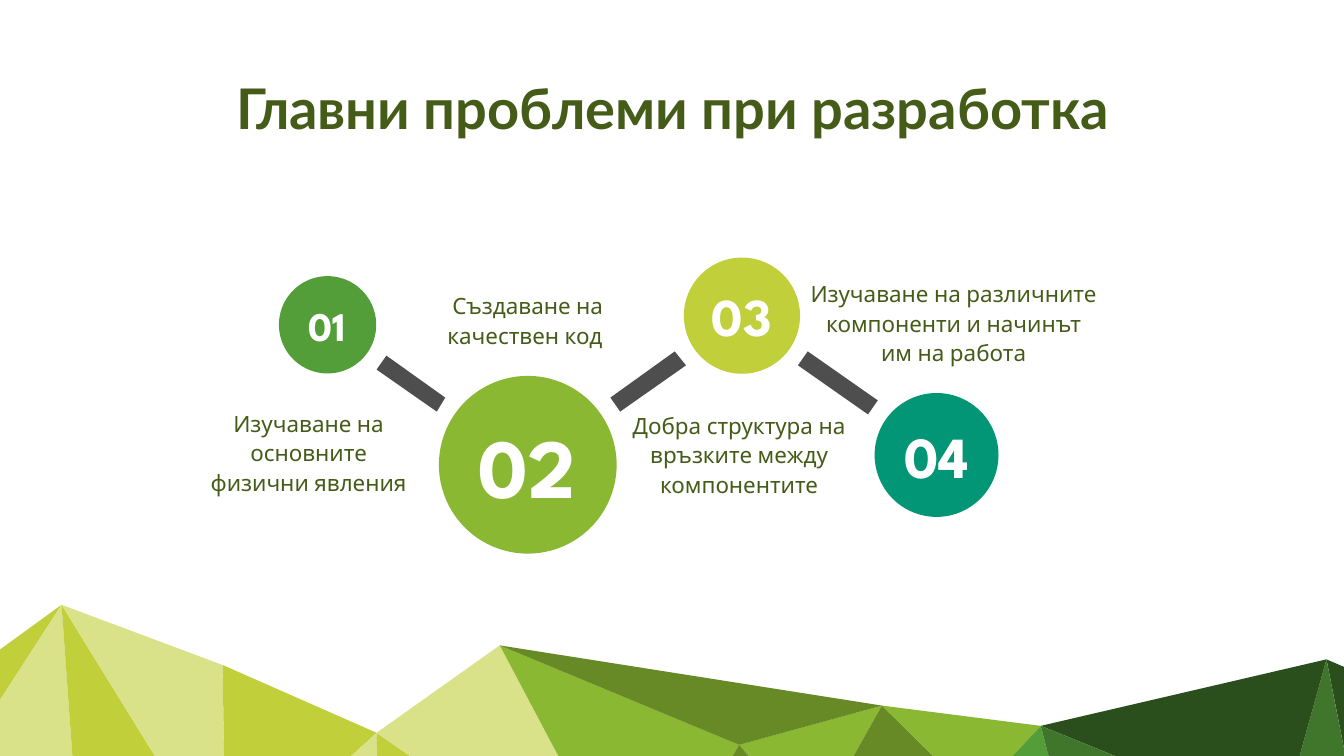
from pptx import Presentation
from pptx import util as u
from pptx.dml import color
from pptx.enum import shapes, text

INK = "455C19"
BAR = "4E4E4E"
WHITE = "FFFFFF"
LIME, PALE, LEAF, MOSS = "C0CF3A", "D9E289", "8AB833", "678A26"
GREEN, FOREST, PINE, TEAL = "549E39", "3F762B", "2A4F1C", "029676"
BODY_FONT = "League Spartan"
BASE = 599

VERTICES = {
    "edge_high": (0, 464), "edge_low": (0, 500), "edge_base": (0, BASE),
    "left_peak": (44, 432), "ridge": (159, 475), "valley": (269, 523.5),
    "middle_peak": (357, 461), "dip": (528, 532), "knoll": (630, 504),
    "fold": (696, 569), "saddle": (743.5, 518.5), "foot": (915, 588),
    "right_peak": (947.5, 471), "right_high": (965, 478.5),
    "right_low": (965, 560), "right_base": (965, BASE),
    "base_1": (56, BASE), "base_2": (147, BASE), "base_3": (161, BASE),
    "base_4": (186, BASE), "base_5": (271, BASE), "base_6": (378, BASE),
    "base_7": (430, BASE), "base_8": (490, BASE), "base_9": (566, BASE),
    "base_10": (580, 593), "base_11": (730, BASE), "base_12": (764, BASE),
    "base_13": (879, BASE), "base_14": (936, BASE),
}

FACETS = [
    (LIME, "left_peak edge_high edge_low"),
    (PALE, "left_peak edge_low edge_base base_1"),
    (LIME, "left_peak base_1 base_2"),
    (PALE, "left_peak base_2 base_3 ridge"),
    (LIME, "ridge base_3 base_4 valley"),
    (PALE, "valley base_4 base_5"),
    (LIME, "valley base_5 base_6"),
    (PALE, "middle_peak valley base_6 base_7"),
    (LEAF, "middle_peak base_7 base_8 dip"),
    (LEAF, "dip base_10 knoll"),
    (MOSS, "knoll base_10 fold"),
    (LEAF, "knoll fold saddle"),
    (GREEN, "saddle fold base_11 base_12"),
    (PINE, "saddle foot right_peak"),
    (FOREST, "saddle base_12 base_13 foot"),
    (PINE, "right_peak right_high right_low"),
    (FOREST, "right_peak right_low right_base base_14 foot"),
    (MOSS, "middle_peak knoll dip"),
    (MOSS, "dip base_8 base_9 base_10"),
]

BARS = [
    [(276, 254), (318, 284), (312, 294), (269, 264)],
    [(482, 251), (490, 261), (443, 294), (436, 284)],
    [(577, 251), (627, 286), (620, 296), (570, 261)],
]

CIRCLES = [
    ("01", 234, 232, 69.5, 29, GREEN),
    ("02", 377, 332, 127, 60, LEAF),
    ("03", 530, 225.5, 83, 38, LIME),
    ("04", 669, 325, 88.5, 41.5, TEAL),
]

CAPTIONS = [
    ("Изучаване на различните компоненти и начинът им на работа", 571.5, 195, 219.5, 70),
    ("Създаване на качествен код ", 289.5, 203.5, 175, 49),
    ("Изучаване на основните физични явления", 135.5, 287.5, 170, 70),
    ("Добра структура на връзките между компонентите", 440.5, 289, 175, 70),
]


def rgb(value):
    return color.RGBColor.from_string(value)


def paint(shape, fill):
    shape.fill.solid()
    shape.fill.fore_color.rgb = rgb(fill)
    shape.line.fill.background()
    shape.shadow.inherit = False


def write(frame, words, font, size, ink, bold=False, spacing=1.0):
    para = frame.paragraphs[0]
    para.alignment = text.PP_ALIGN.CENTER
    para.line_spacing = spacing
    span = para.add_run()
    span.text = words
    span.font.name = font
    span.font.size = u.Pt(size)
    span.font.bold = bold
    span.font.color.rgb = rgb(ink)


def add_polygon(page, points, fill):
    corners = [(u.Pt(x), u.Pt(y)) for x, y in points]
    builder = page.shapes.build_freeform(*corners[0])
    builder.add_line_segments(corners[1:], close=True)
    paint(builder.convert_to_shape(), fill)


def add_circle(page, number, x, y, diameter, size, fill):
    circle = page.shapes.add_shape(
        shapes.MSO_SHAPE.OVAL, u.Pt(x - diameter / 2), u.Pt(y - diameter / 2),
        u.Pt(diameter), u.Pt(diameter))
    paint(circle, fill)
    frame = circle.text_frame
    frame.margin_left = frame.margin_right = frame.margin_top = frame.margin_bottom = 0
    frame.word_wrap = False
    frame.vertical_anchor = text.MSO_ANCHOR.MIDDLE
    write(frame, number, BODY_FONT, size, WHITE, bold=True)


def add_caption(page, words, left, top, width, height):
    box = page.shapes.add_textbox(u.Pt(left), u.Pt(top), u.Pt(width), u.Pt(height))
    box.text_frame.word_wrap = True
    write(box.text_frame, words, BODY_FONT, 16, INK, spacing=u.Pt(21))


def set_title(page, words):
    title = page.shapes.title
    title.left, title.top, title.width, title.height = map(u.Pt, (135.5, 49, 690, 55.5))
    frame = title.text_frame
    frame.word_wrap = False
    frame.auto_size = text.MSO_AUTO_SIZE.NONE
    frame.vertical_anchor = text.MSO_ANCHOR.TOP
    write(frame, words, "Lato", 40, INK, bold=True)


def main():
    deck = Presentation()
    deck.slide_width, deck.slide_height = u.Pt(960), u.Pt(540)
    page = deck.slides.add_slide(deck.slide_layouts[5])
    set_title(page, "Главни проблеми при разработка")
    for fill, names in FACETS:
        add_polygon(page, [VERTICES[name] for name in names.split()], fill)
    for corners in BARS:
        add_polygon(page, corners, BAR)
    for circle in CIRCLES:
        add_circle(page, *circle)
    for caption in CAPTIONS:
        add_caption(page, *caption)
    deck.save("out.pptx")


if __name__ == "__main__":
    main()
